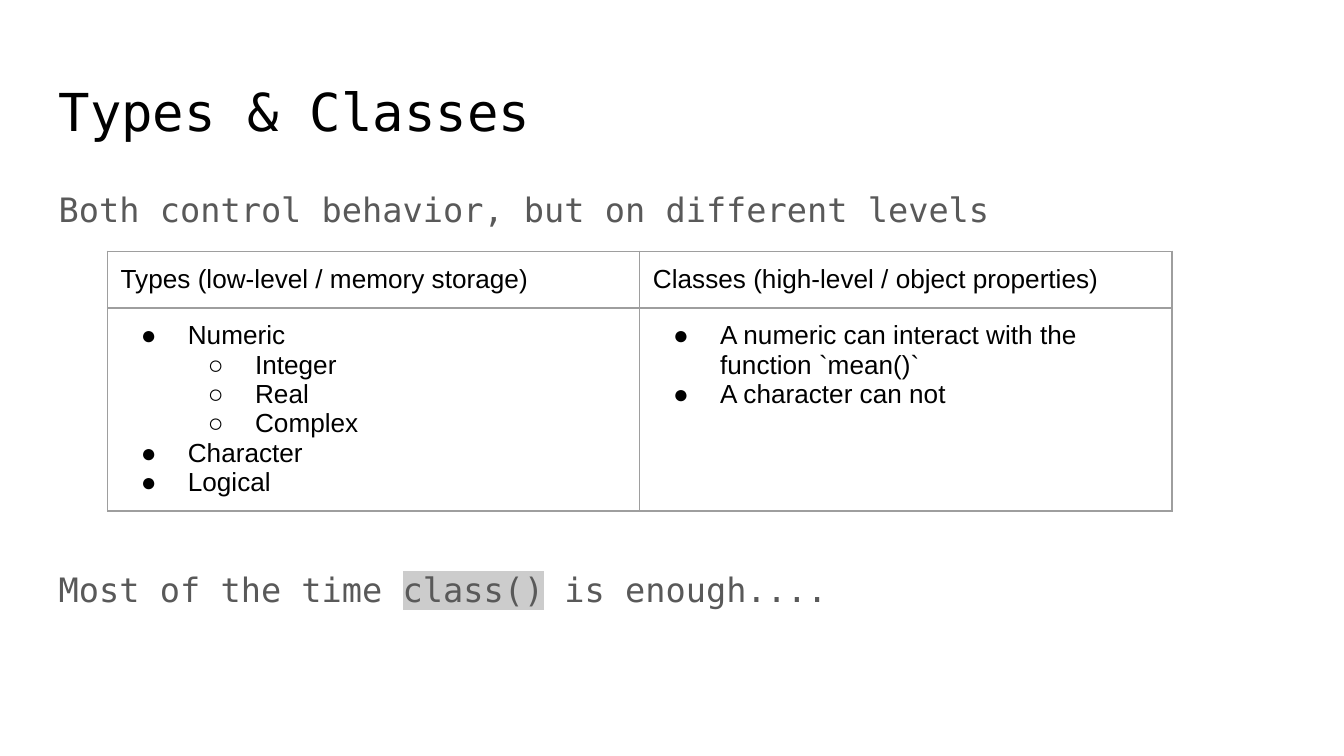
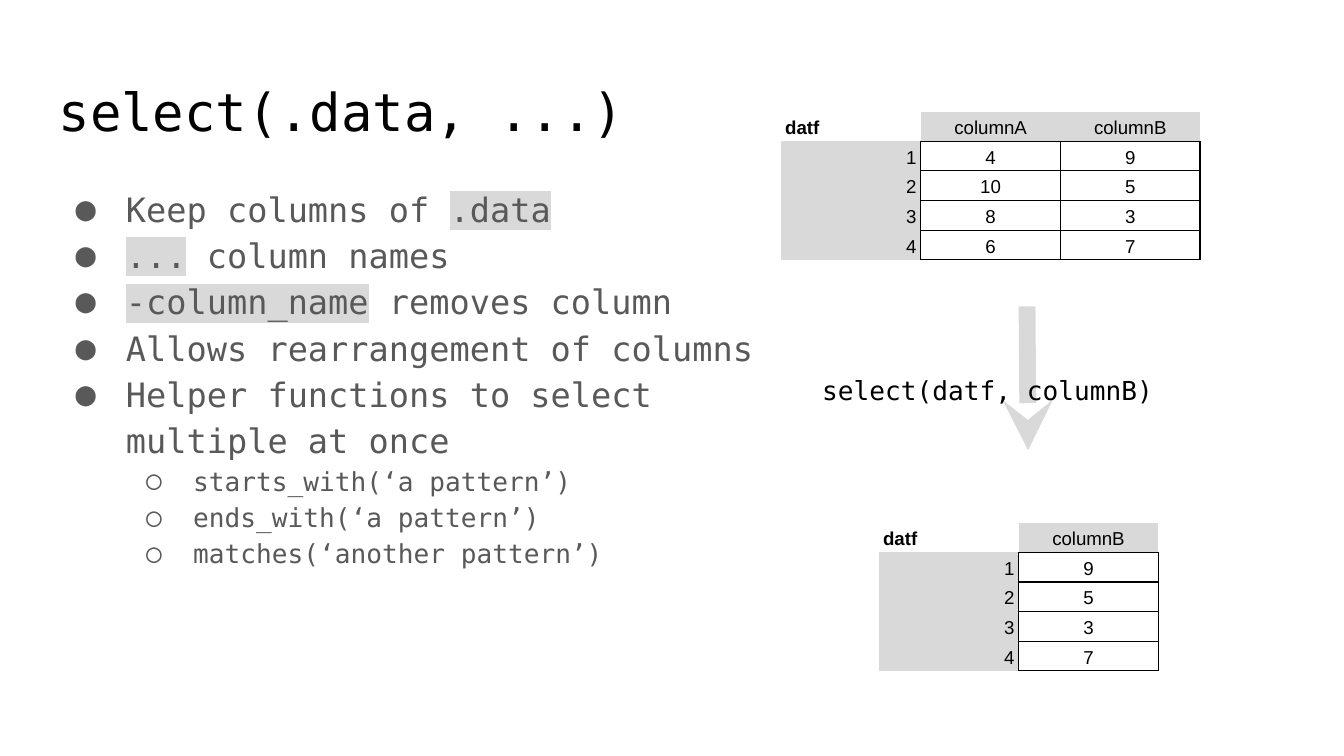
from pptx import Presentation
from pptx.dml.color import RGBColor
from pptx.enum.shapes import MSO_CONNECTOR
from pptx.enum.text import MSO_ANCHOR as Anchor, MSO_AUTO_SIZE as Fit, PP_ALIGN as Align
from pptx.oxml.ns import qn
from pptx.util import Cm, Pt
from lxml.etree import SubElement as Sub

HUES = {"ink": "000000", "body": "595959", "rule": "9E9E9E",
        "gray": "D9D9D9", "mark": "CCCCCC"}
MONO, SANS = "DejaVu Sans Mono", "Arial"

# A paragraph is (bullet level or None, runs); a run in a tuple is marked code.
TYPES = {
    "title": "Types & Classes",
    "body": [
        (None, ["Both control behavior, but on different levels"]),
        (None, ["Most of the time ", ("class()",), " is enough...."]),
    ],
    "table": [
        [[(None, ["Types (low-level / memory storage)"])],
         [(None, ["Classes (high-level / object properties)"])]],
        [[(0, ["Numeric"]), (1, ["Integer"]), (1, ["Real"]), (1, ["Complex"]),
          (0, ["Character"]), (0, ["Logical"])],
         [(0, ["A numeric can interact with the function `mean()`"]),
          (0, ["A character can not"])]],
    ],
}
SELECT = {
    "title": "select(.data, ...)",
    "body": [
        (0, ["Keep columns of ", (".data",)]),
        (0, [("...",), " column names"]),
        (0, [("-column_name",), " removes column"]),
        (0, ["Allows rearrangement of columns"]),
        (0, ["Helper functions to select multiple at once"]),
        (1, ["starts_with(‘a pattern’)"]),
        (1, ["ends_with(‘a pattern’)"]),
        (1, ["matches(‘another pattern’)"]),
    ],
    "call": "select(datf, columnB)",
}
DATF = {"columnA": [4, 10, 8, 6], "columnB": [9, 5, 3, 7]}

BULLETS = "●○"
STEP = 1.27  # indent per bullet level


def rgb(hue):
    return RGBColor.from_string(HUES[hue])


def add_run(para, text, font, size, hue, bold=False, mark=None):
    run = para.add_run()
    run.text = text
    face = run.font
    face.name, face.size, face.bold = font, Pt(size), bold
    face.color.rgb = rgb(hue)
    if mark:
        light = Sub(run._r.rPr, qn("a:highlight"))
        Sub(light, qn("a:srgbClr"), val=HUES[mark])
        run._r.rPr.find(qn("a:solidFill")).addnext(light)


def set_bullet(para, level, hang, font, hue):
    props = para._p.get_or_add_pPr()
    if level is None:
        props.set("marL", "0")
        props.set("indent", "0")
        Sub(props, qn("a:buNone"))
        return
    para.level = level
    props.set("marL", str(Cm(STEP * (level + 1))))
    props.set("indent", str(-Cm(hang)))
    Sub(Sub(props, qn("a:buClr")), qn("a:srgbClr"), val=HUES[hue])
    Sub(props, qn("a:buFont"), typeface=font)
    Sub(props, qn("a:buChar"), char=BULLETS[level])


def fill_text(frame, paras, font, hue, sizes, hangs, space=1.0, mark=None, gap=0):
    """Write paragraphs; sizes and hangs go by level, gap precedes all but the first."""
    for i, (level, runs) in enumerate(paras):
        para = frame.add_paragraph() if i else frame.paragraphs[0]
        depth = level or 0
        set_bullet(para, level, hangs[depth], font, hue)
        para.alignment = Align.LEFT
        para.line_spacing = space
        para.space_before = Pt(gap if i else 0)
        for run in runs:
            code = isinstance(run, tuple)
            add_run(para, run[0] if code else run, font, sizes[depth], hue,
                    mark=mark if code else None)


def place(shape, left, top, width, height):
    shape.left, shape.top = Cm(left), Cm(top)
    shape.width, shape.height = Cm(width), Cm(height)


def set_frame(frame):
    frame.auto_size, frame.word_wrap = Fit.NONE, True
    frame.vertical_anchor = Anchor.TOP
    frame.margin_left = frame.margin_right = Cm(0.25)
    frame.margin_top = frame.margin_bottom = Cm(0.25)


def add_slide(deck, text, width, mark, gap=0):
    slide = deck.slides.add_slide(deck.slide_layouts[1])
    title, body = slide.placeholders
    place(title, 0.86, 1.24, 23.67, 1.6)
    place(body, 0.86, 3.2, width, 9.5)
    for box in (title, body):
        set_frame(box.text_frame)
    fill_text(title.text_frame, [(None, [text["title"]])], MONO, "ink", (28,), (0,))
    fill_text(body.text_frame, text["body"], MONO, "body", (18, 14), (0.95, 0.89),
              space=1.15, mark=mark, gap=gap)
    return slide


def add_grid(slide, left, top, wide, highs, cols):
    grid = slide.shapes.add_table(len(highs), cols, Cm(left), Cm(top),
                                  Cm(wide * cols), Cm(sum(highs))).table
    grid.first_row = grid.horz_banding = False
    for col in grid.columns:
        col.width = Cm(wide)
    for row, high in zip(grid.rows, highs):
        row.height = Cm(high)
    return grid


def style_cell(cell, sides, hue, pad, fill=None):
    """Draw the named sides (L, R, T, B) and clear the others."""
    cell.margin_left = cell.margin_right = Cm(pad[0])
    cell.margin_top = cell.margin_bottom = Cm(pad[1])
    props = cell._tc.get_or_add_tcPr()
    for side in "LRTB":
        line = Sub(props, qn("a:ln" + side), w=str(Pt(0.75)))
        if side in sides:
            Sub(Sub(line, qn("a:solidFill")), qn("a:srgbClr"), val=HUES[hue])
        else:
            Sub(line, qn("a:noFill"))
    if fill:
        cell.fill.solid()
        cell.fill.fore_color.rgb = rgb(fill)
    else:
        cell.fill.background()


def add_frame(slide, left, top, names):
    """Add a data frame table with gray column and row headers."""
    rows = [["datf", *names]]
    rows += [[n, *vals] for n, vals in enumerate(zip(*(DATF[k] for k in names)), 1)]
    grid = add_grid(slide, left, top, 2.64, [0.56] * len(rows), len(rows[0]))
    for r, row in enumerate(rows):
        for c, value in enumerate(row):
            if r and c:
                sides, fill, align = "LRTB", None, Align.CENTER
            elif r:
                sides, fill, align = "R", "gray", Align.RIGHT
            elif c:
                sides, fill, align = "B", "gray", Align.CENTER
            else:
                sides, fill, align = "", None, Align.LEFT
            cell = grid.cell(r, c)
            style_cell(cell, sides, "ink", (0.08, 0.05), fill)
            cell.vertical_anchor = Anchor.BOTTOM
            para = cell.text_frame.paragraphs[0]
            para.alignment, para.line_spacing = align, 1.15
            add_run(para, str(value), SANS, 10, "ink", bold=not (r or c))


def add_arrow(slide, start, end):
    arrow = slide.shapes.add_connector(MSO_CONNECTOR.STRAIGHT,
                                       *(Cm(v) for v in start + end))
    arrow.line.color.rgb = rgb("gray")
    arrow.line.width = Pt(9)
    Sub(arrow.line._get_or_add_ln(), qn("a:tailEnd"), type="stealth")
    Sub(arrow._element.spPr, qn("a:effectLst"))


def types_slide(deck):
    slide = add_slide(deck, TYPES, 23.67, "mark", gap=179)
    grid = add_grid(slide, 2.03, 4.75, 10.06, [1.07, 3.84], 2)
    for r, row in enumerate(TYPES["table"]):
        for c, paras in enumerate(row):
            cell = grid.cell(r, c)
            style_cell(cell, "LRTB", "rule", (0.25, 0.25))
            fill_text(cell.text_frame, paras, SANS, "ink", (14, 14), (0.89, 0.89))


def select_slide(deck):
    slide = add_slide(deck, SELECT, 13.92, "gray")
    add_frame(slide, 14.76, 2.11, ["columnA", "columnB"])
    add_arrow(slide, (19.41, 5.79), (19.43, 8.51))
    call = slide.shapes.add_textbox(Cm(15.29), Cm(6.83), Cm(7.92), Cm(1.22))
    set_frame(call.text_frame)
    fill_text(call.text_frame, [(None, [SELECT["call"]])], MONO, "ink", (14,), (0,))
    add_frame(slide, 16.61, 9.88, ["columnB"])


def main():
    deck = Presentation()
    deck.slide_width, deck.slide_height = Cm(25.4), Cm(14.29)
    types_slide(deck)
    select_slide(deck)
    deck.save("out.pptx")


if __name__ == "__main__":
    main()
